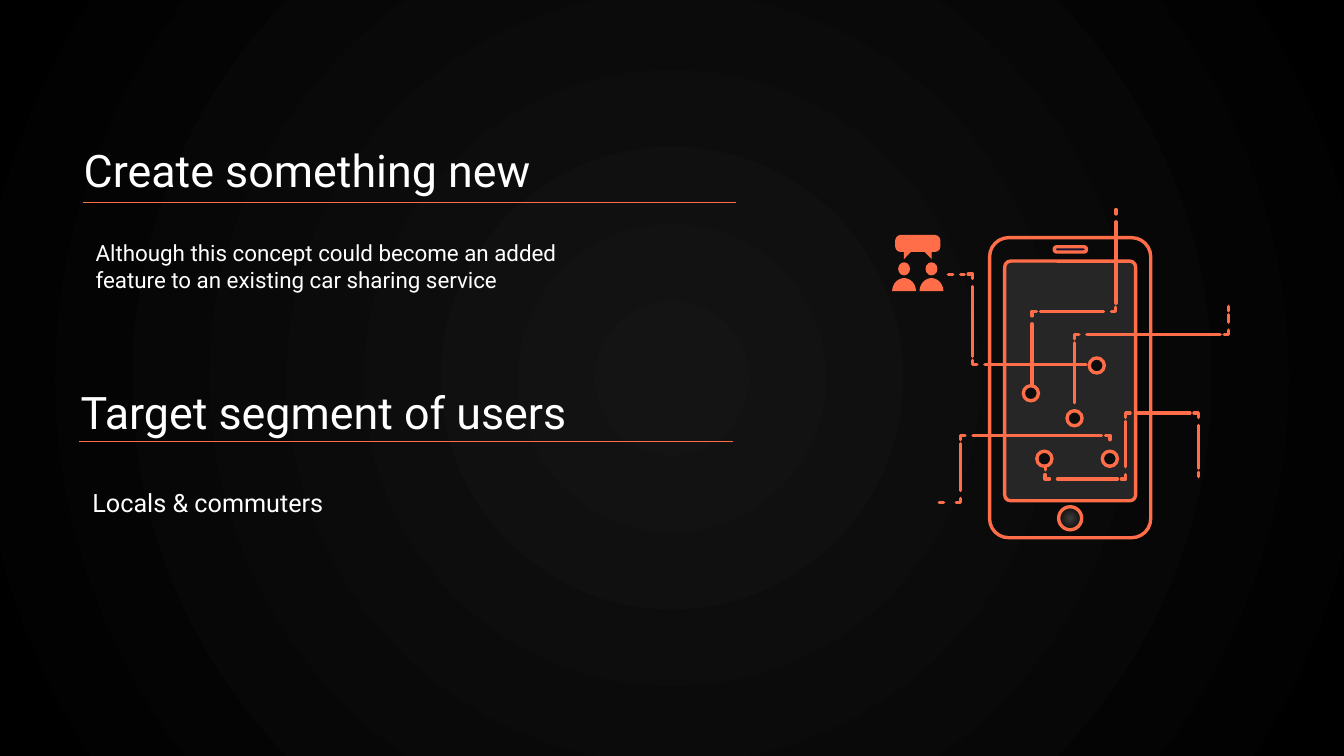
import math
from dataclasses import dataclass
from itertools import pairwise

from lxml import etree
from pptx import Presentation
from pptx import util as u
from pptx.dml.color import RGBColor
from pptx.enum import shapes, text
from pptx.oxml.ns import qn


@dataclass(frozen=True)
class Theme:
    accent: str = "FF6D49"
    white: str = "FFFFFF"
    glow: tuple = ("141414", "000000", 1)
    button: tuple = ("3C3C3C", "0D0D0D", 0.77)
    screen: str = "262626"
    speaker: str = "161234"
    node: str = "0D0D0D"
    font: str = "Roboto"
    heading: int = 32
    thin: float = 0.75
    stroke: float = 2.4


THEME = Theme()
SHAPE = shapes.MSO_SHAPE
STUB, LEAD, TAIL, SHORT_LEG = 0.11, 0.31, 0.21, 0.56

TRACES = [
    [(3.86, 6.45), (3.86, 6.79), (5.89, 6.79), (5.89, 5.13), (7.72, 5.13), (7.72, 6.73)],
    [(1.42, 1.63), (2.03, 1.63), (2.03, 3.91), (5.1, 3.91)],
    [(1.19, 7.39), (1.73, 7.39), (1.73, 5.69), (5.49, 5.69), (5.49, 6.23)],
    [(4.6, 5.18), (4.6, 3.15), (8.48, 3.15), (8.48, 2.44)],
    [(5.64, 0), (5.64, 2.57), (3.53, 2.57), (3.53, 4.63)],
]
NODES = [(3.84, 6.28), (5.16, 3.93), (5.49, 6.28), (4.6, 5.26), (3.5, 4.63)]


def color(value):
    return RGBColor.from_string(value)


def fill_radial(fill, element, inner, outer, reach):
    fill.gradient()
    for stop, value, position in zip(fill.gradient_stops, (inner, outer), (0, reach)):
        stop.color.rgb = color(value)
        stop.position = position
    gradient = next(element.iter(qn("a:gradFill")))
    gradient.remove(gradient.find(qn("a:lin")))
    circle = etree.SubElement(gradient, qn("a:path"), path="circle")
    etree.SubElement(circle, qn("a:fillToRect"), l="50000", t="50000", r="50000", b="50000")


def style(shape, fill=None, outline=True):
    shape.shadow.inherit = False
    if fill:
        shape.fill.solid()
        shape.fill.fore_color.rgb = color(fill)
    else:
        shape.fill.background()
    if outline:
        shape.line.color.rgb = color(THEME.accent)
        shape.line.width = u.Pt(THEME.stroke)
    else:
        shape.line.fill.background()


def add_preset(page, kind, left, top, width, height, fill=None, outline=True, radius=None):
    shape = page.shapes.add_shape(kind, u.Cm(left), u.Cm(top), u.Cm(width), u.Cm(height))
    if radius:
        shape.adjustments[0] = radius / min(width, height)
    style(shape, fill, outline)
    return shape


def add_outline(page, points, close):
    corners = [(u.Cm(x), u.Cm(y)) for x, y in points]
    builder = page.shapes.build_freeform(*corners[0])
    builder.add_line_segments(corners[1:], close=close)
    return builder.convert_to_shape()


def add_rule(page, start, end, weight):
    line = page.shapes.add_connector(
        shapes.MSO_CONNECTOR.STRAIGHT, *(u.Cm(value) for value in (*start, *end)))
    line.line.color.rgb = color(THEME.accent)
    line.line.width = u.Pt(weight)
    etree.SubElement(line._element.spPr, qn("a:effectLst"))
    return line


def add_text(page, left, top, width, height, words, size, anchor):
    box = page.shapes.add_textbox(u.Cm(left), u.Cm(top), u.Cm(width), u.Cm(height))
    frame = box.text_frame
    frame.word_wrap = True
    frame.vertical_anchor = anchor
    frame.margin_left = frame.margin_right = u.Cm(0.33)
    frame.margin_top = frame.margin_bottom = u.Cm(0.33)
    frame.text = words
    font = frame.paragraphs[0].runs[0].font
    font.name, font.size = THEME.font, u.Pt(size)
    font.color.rgb = color(THEME.white)


def add_section(page, left, top, heading, body, body_size, rule_drop, body_drop):
    add_text(page, left, top, 13.08, 2.24, heading, THEME.heading, text.MSO_ANCHOR.BOTTOM)
    inset = left + 0.3
    add_text(page, inset, top + body_drop, 12.8, 1.73, body, body_size, text.MSO_ANCHOR.TOP)
    add_rule(page, (inset, top + rule_drop), (inset + 16.48, top + rule_drop), THEME.thin)


def step(start, end, distance):
    share = distance / math.dist(start, end)
    return tuple(a + (b - a) * share for a, b in zip(start, end))


def add_trace(page, left, top, route):
    points = [(left + x, top + y) for x, y in route]
    dashes = [(points[0], step(points[0], points[1], STUB)),
              (step(points[-1], points[-2], STUB), points[-1])]
    dashes += [(step(a, b, LEAD), step(b, a, TAIL))
               for a, b in pairwise(points) if math.dist(a, b) > SHORT_LEG]
    for start, end in dashes:
        dash = add_rule(page, start, end, THEME.stroke)
        dash.line._get_or_add_ln().set("cap", "rnd")
    for before, corner, after in zip(points, points[1:], points[2:]):
        elbow = add_outline(
            page, [step(corner, before, STUB), corner, step(corner, after, STUB)], False)
        style(elbow)
        elbow.line._get_or_add_ln().set("cap", "rnd")


def add_circle(page, x, y, diameter, fill):
    return add_preset(page, SHAPE.OVAL, x - diameter / 2, y - diameter / 2,
                      diameter, diameter, fill)


def add_phone(page, left, top):
    rounded = SHAPE.ROUNDED_RECTANGLE
    add_preset(page, rounded, left + 2.46, top + 0.71, 4.06, 7.56, radius=0.48)
    add_preset(page, rounded, left + 2.84, top + 1.3, 3.3, 6.04, THEME.screen, radius=0.15)
    add_preset(page, rounded, left + 4.09, top + 0.94, 0.81, 0.13, THEME.speaker, radius=0.06)
    button = add_circle(page, left + 4.49, top + 7.78, 0.58, THEME.node)
    fill_radial(button.fill, button._element, *THEME.button)
    for route in TRACES:
        add_trace(page, left, top, route)
    for x, y in NODES:
        add_circle(page, left + x, top + y, 0.38, THEME.node)


def add_chat_icon(page, left, top):
    middle = left + 0.65
    add_preset(page, SHAPE.ROUNDED_RECTANGLE, middle - 0.57, top, 1.14, 0.43,
               THEME.accent, False, radius=0.14)
    for side in (-1, 1):
        tail = [(middle + side * x, top + y) for x, y in ((0.35, 0.4), (0.35, 0.61), (0.14, 0.4))]
        person = middle + side * 0.345
        shoulders = [(person + 0.3 * math.cos(math.pi * i / 24),
                      top + 1.42 - 0.33 * math.sin(math.pi * i / 24)) for i in range(25)]
        for points in (tail, shoulders):
            style(add_outline(page, points, True), THEME.accent, False)
        add_preset(page, SHAPE.OVAL, person - 0.15, top + 0.69, 0.3, 0.33, THEME.accent, False)


def main():
    deck = Presentation()
    deck.slide_width, deck.slide_height = u.Cm(33.87), u.Cm(19.05)
    page = deck.slides.add_slide(deck.slide_layouts[6])
    fill_radial(page.background.fill, page._element, *THEME.glow)
    add_section(page, 1.78, 3.05, "Create something new",
                "Although this concept could become an added feature to an existing "
                "car sharing service", 16, 2.06, 2.64)
    add_section(page, 1.7, 9.14, "Target segment of users", "Locals & commuters", 18, 1.99, 2.8)
    add_phone(page, 22.48, 5.28)
    add_chat_icon(page, 22.48, 5.92)
    deck.save("out.pptx")


if __name__ == "__main__":
    main()
